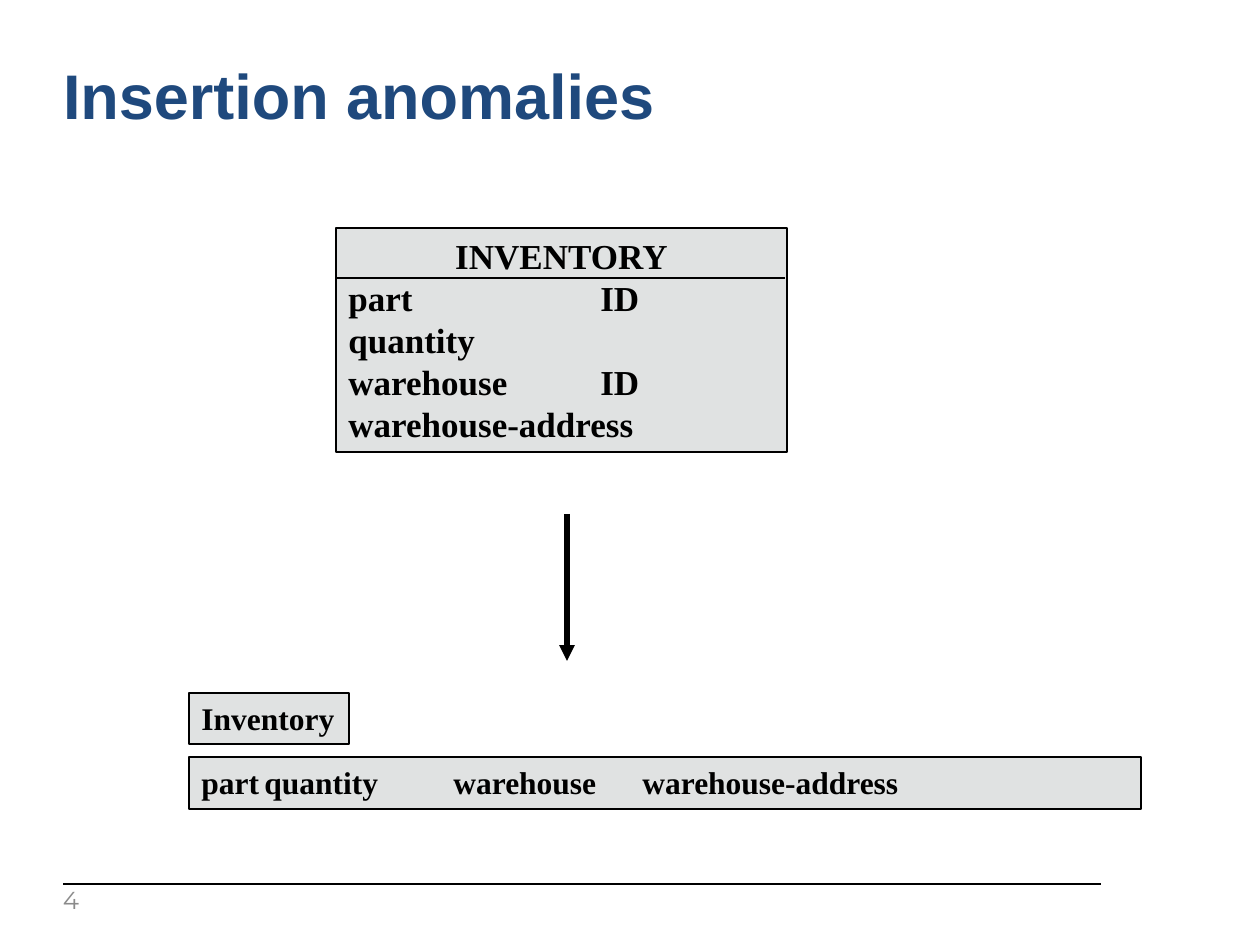
from lxml import etree
from pptx import Presentation
from pptx.dml.color import RGBColor
from pptx.enum.shapes import MSO_CONNECTOR, MSO_SHAPE
from pptx.enum.text import MSO_ANCHOR, PP_ALIGN
from pptx.oxml.ns import qn
from pptx.util import Emu, Pt

RECTANGLE = MSO_SHAPE.RECTANGLE
STRAIGHT = MSO_CONNECTOR.STRAIGHT
TOP, MIDDLE = MSO_ANCHOR.TOP, MSO_ANCHOR.MIDDLE
LEFT, CENTER = PP_ALIGN.LEFT, PP_ALIGN.CENTER

EMU_PER_INCH = 914400
PX_PER_INCH = 126
BLANK_LAYOUT = 6

BLACK = "000000"
BOX_FILL = "E0E2E2"
TITLE_FORMAT = {"name": "Arial", "size": Pt(36), "bold": True}
NUMBER_FORMAT = {"name": "Montserrat", "size": Pt(14), "bold": False}
ENTITY_FORMAT = {"name": "Times New Roman", "size": Pt(20), "bold": True}
RELATION_FORMAT = {**ENTITY_FORMAT, "size": Pt(18)}


def px(length):
    """Turn pixels into EMU."""
    return Emu(round(length * EMU_PER_INCH / PX_PER_INCH))


def color(hex_string):
    return RGBColor.from_string(hex_string)


class SlideBuilder:
    """Holds the shared style and the slide being drawn."""

    line_color = BLACK
    line_width = 0.75
    box_fill = BOX_FILL

    def __init__(self, slide):
        self.slide = slide

    def fill_text(self, shape, lines, text_format, text_color, heading_alignment=LEFT):
        """Put one paragraph per line; only the first takes the heading alignment."""
        frame = shape.text_frame
        for index, text in enumerate(lines):
            paragraph = frame.add_paragraph() if index else frame.paragraphs[0]
            paragraph.alignment = LEFT if index else heading_alignment
            run = paragraph.add_run()
            run.text = text
            for name, value in text_format.items():
                setattr(run.font, name, value)
            run.font.color.rgb = color(text_color)

    def text(self, left, top, width, height, text, text_format, text_color, anchor=TOP):
        shape = self.slide.shapes.add_textbox(*map(px, (left, top, width, height)))
        frame_format = {
            "word_wrap": True,
            "vertical_anchor": anchor,
            "margin_left": 0,
            "margin_top": 0,
        }
        for name, value in frame_format.items():
            setattr(shape.text_frame, name, value)
        self.fill_text(shape, [text], text_format, text_color)

    def box(self, left, top, width, height, lines, text_format,
            heading_alignment=LEFT, wrap=True):
        shape = self.slide.shapes.add_shape(
            RECTANGLE, *map(px, (left, top, width, height)))
        shape.shadow.inherit = False
        shape.fill.solid()
        shape.fill.fore_color.rgb = color(self.box_fill)
        shape.line.color.rgb = color(self.line_color)
        shape.line.width = Pt(self.line_width)
        shape.text_frame.word_wrap = wrap
        shape.text_frame.vertical_anchor = TOP
        self.fill_text(shape, lines, text_format, BLACK, heading_alignment)

    def line(self, start_x, start_y, end_x, end_y, width=line_width, arrow=False):
        connector = self.slide.shapes.add_connector(
            STRAIGHT, *map(px, (start_x, start_y, end_x, end_y)))
        connector.line.color.rgb = color(self.line_color)
        connector.line.width = Pt(width)
        properties = connector._element.spPr
        if arrow:
            outline = properties.find(qn("a:ln"))
            etree.SubElement(outline, qn("a:tailEnd"), type="triangle")
        etree.SubElement(properties, qn("a:effectLst"))


def main():
    presentation = Presentation()
    presentation.slide_width = px(1260)
    presentation.slide_height = px(945)
    layout = presentation.slide_layouts[BLANK_LAYOUT]
    builder = SlideBuilder(presentation.slides.add_slide(layout))

    builder.line(63, 884, 1101, 884)
    builder.text(63, 57, 1003, 116, "Insertion anomalies", TITLE_FORMAT, "1F497D")
    builder.text(63, 890, 50, 26, "4", NUMBER_FORMAT, "8B8B8B", MIDDLE)

    builder.box(189, 757, 952, 52,
                ["part\tquantity\t\twarehouse\twarehouse-address"], RELATION_FORMAT)
    builder.box(189, 693, 160, 51, ["Inventory"], RELATION_FORMAT, wrap=False)

    builder.line(567, 514, 567, 661, width=3, arrow=True)

    entity_lines = ["INVENTORY", "part\t\t\tID", "quantity",
                    "warehouse\t\tID", "warehouse-address"]
    builder.box(336, 228, 451, 224, entity_lines, ENTITY_FORMAT, CENTER)
    builder.line(336, 278, 785, 278)

    presentation.save("out.pptx")


if __name__ == "__main__":
    main()
